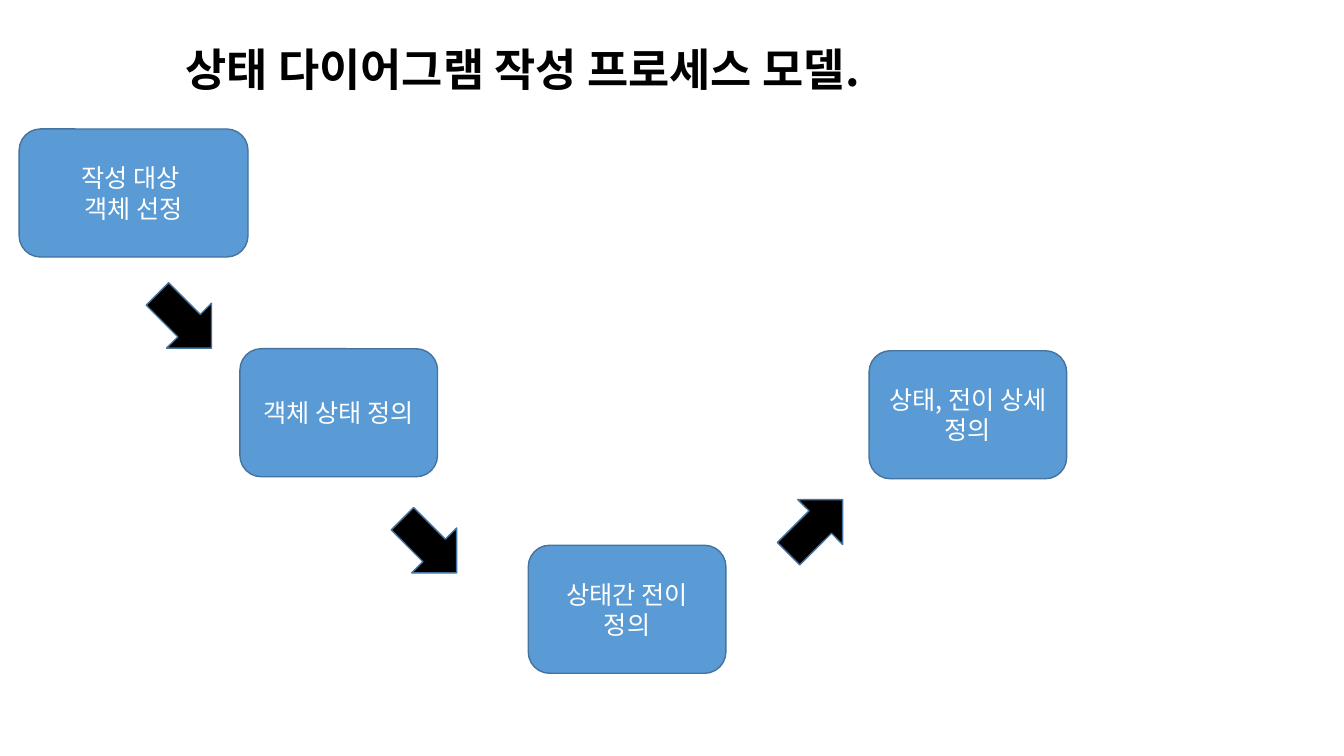
import pptx
import pptx.dml.color
import pptx.enum.shapes
import pptx.enum.text
import pptx.oxml.ns
import pptx.util
from lxml import etree

Inches = pptx.util.Inches
Pt = pptx.util.Pt
Shape = pptx.enum.shapes.MSO_SHAPE
Align = pptx.enum.text.PP_ALIGN
Anchor = pptx.enum.text.MSO_ANCHOR

COLORS = {"step": "5B9BD5", "outline": "43739E", "arrow": "000000",
          "step_text": "FFFFFF", "title": "000000"}
FONT = "Noto Sans CJK KR"


class ProcessSlide:
    def __init__(self, presentation):
        self.slide = presentation.slides.add_slide(presentation.slide_layouts[5])

    def color(self, name):
        return pptx.dml.color.RGBColor.from_string(COLORS[name])

    def set_text(self, frame, lines, size, color, align, bold=False):
        frame.text = "\n".join(lines)
        frame.word_wrap = True
        for paragraph in frame.paragraphs:
            paragraph.alignment = align
            font = paragraph.font
            font.size = Pt(size)
            font.bold = bold
            font.name = FONT
            font.color.rgb = self.color(color)
            latin = next(paragraph._p.iter(pptx.oxml.ns.qn("a:latin")))
            east_asian = etree.Element(pptx.oxml.ns.qn("a:ea"), typeface=FONT)
            latin.addnext(east_asian)

    def title(self, text, left, top, width, height):
        heading = self.slide.shapes.title
        heading.left, heading.top = Inches(left), Inches(top)
        heading.width, heading.height = Inches(width), Inches(height)
        frame = heading.text_frame
        self.set_text(frame, [text], 32, "title", Align.LEFT, bold=True)
        frame.auto_size = pptx.enum.text.MSO_AUTO_SIZE.NONE
        frame.vertical_anchor = Anchor.TOP

    def block(self, kind, left, top, width, height, fill):
        block = self.slide.shapes.add_shape(
            kind, Inches(left), Inches(top), Inches(width), Inches(height))
        block.shadow.inherit = False
        block.fill.solid()
        block.fill.fore_color.rgb = self.color(fill)
        block.line.color.rgb = self.color("outline")
        block.line.width = Pt(1)
        return block

    def step(self, lines, left, top, width=1.96):
        step = self.block(Shape.ROUNDED_RECTANGLE, left, top, width, 1.27, "step")
        step.text_frame.vertical_anchor = Anchor.MIDDLE
        self.set_text(step.text_frame, lines, 18, "step_text", Align.CENTER)

    def arrow(self, left, top, angle):
        arrow = self.block(Shape.RIGHT_ARROW, left, top, 0.76, 0.63, "arrow")
        arrow.rotation = angle


def main():
    presentation = pptx.Presentation()
    presentation.slide_width = Inches(13.33)
    presentation.slide_height = Inches(7.5)
    process = ProcessSlide(presentation)

    process.title("상태 다이어그램 작성 프로세스 모델.", 1.74, 0.36, 8.94, 0.64)

    process.step(["작성 대상 ", "객체 선정"], 0.19, 1.28, width=2.27)
    process.step(["객체 상태 정의"], 2.38, 3.46)
    process.step(["상태간 전이 정의"], 5.24, 5.41)
    process.step(["상태, 전이 상세 정의"], 8.62, 3.48)

    for left, top, angle in [(1.45, 2.87, 45), (3.88, 5.1, 45), (7.71, 4.91, 315)]:
        process.arrow(left, top, angle)

    presentation.save("out.pptx")


if __name__ == "__main__":
    main()
